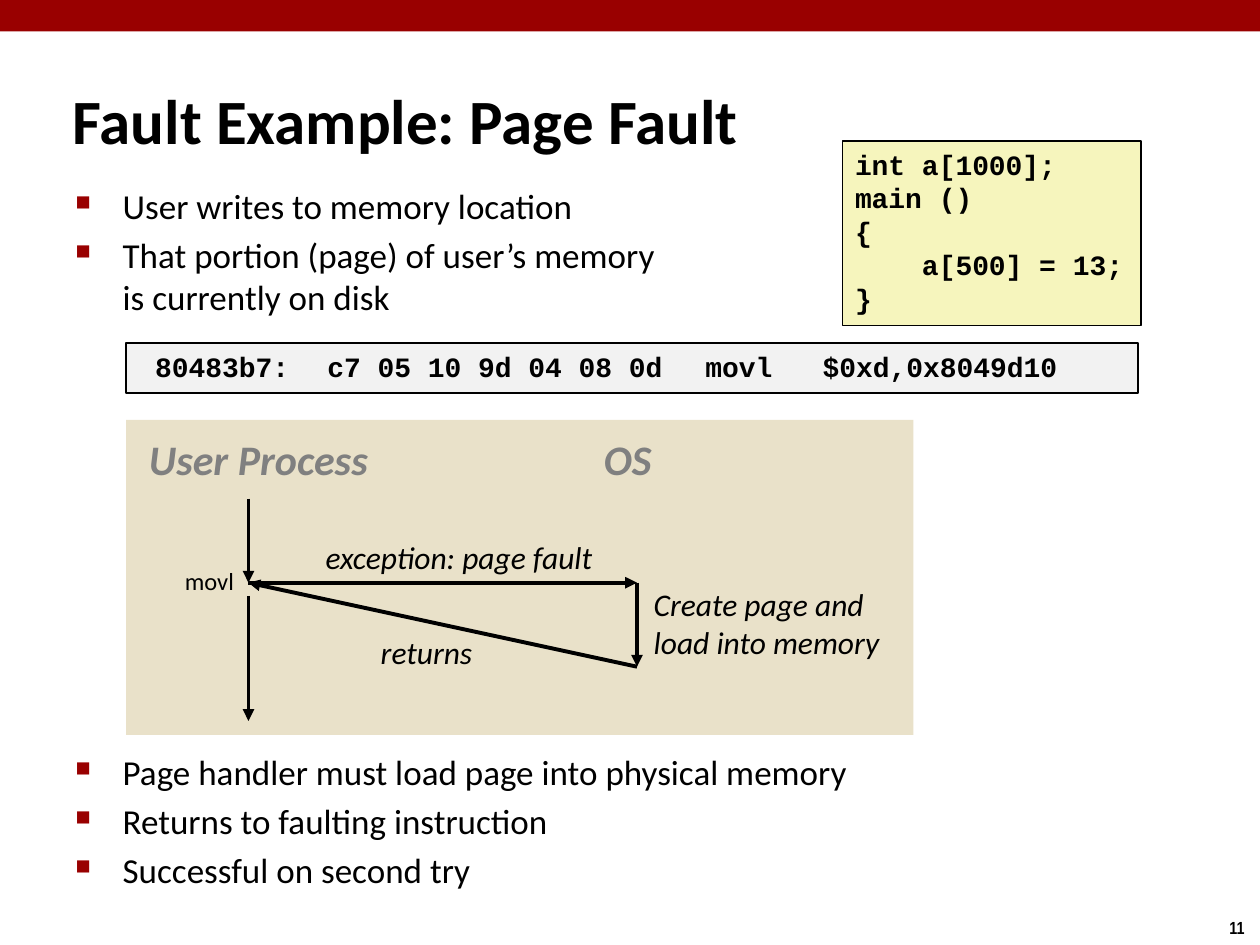
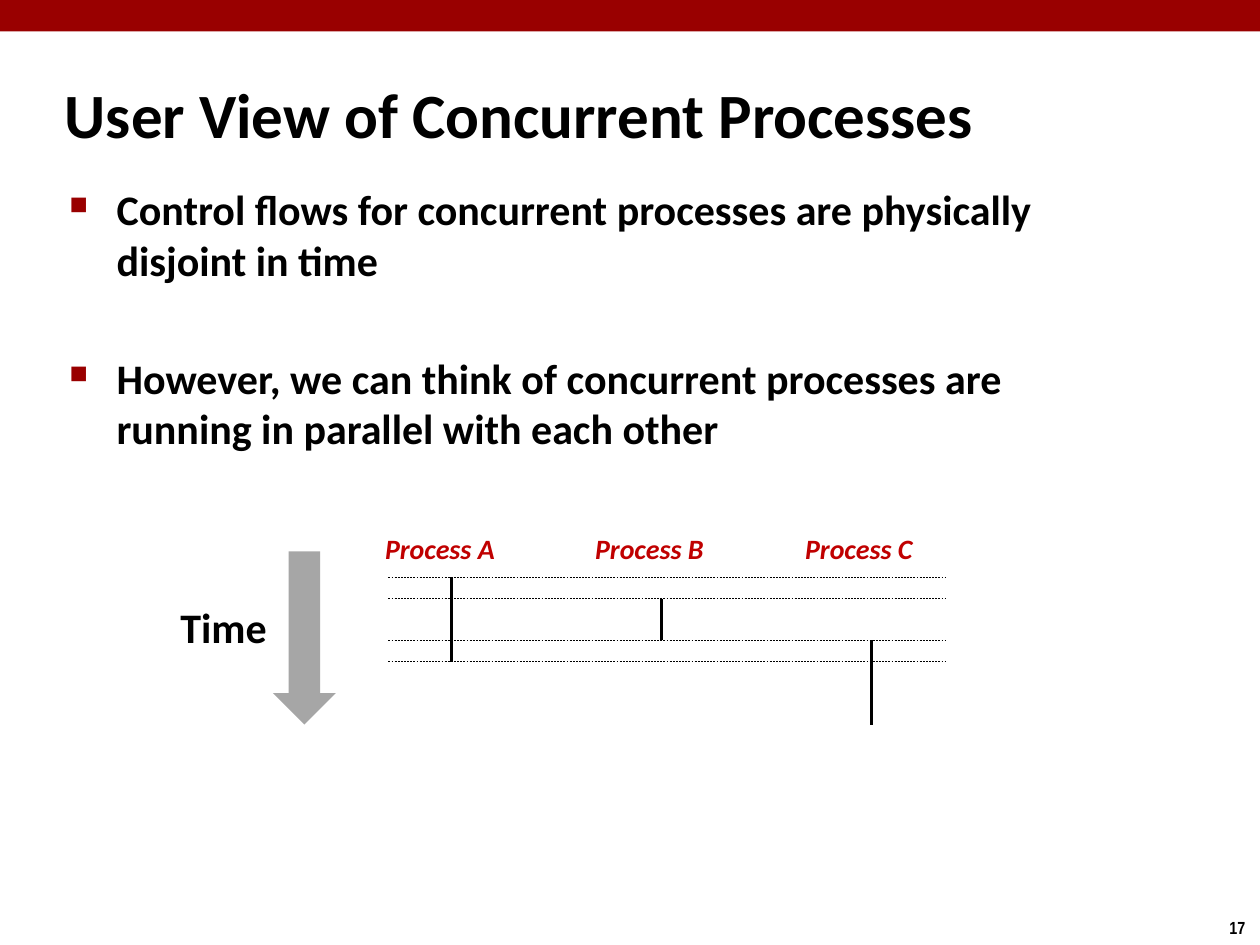
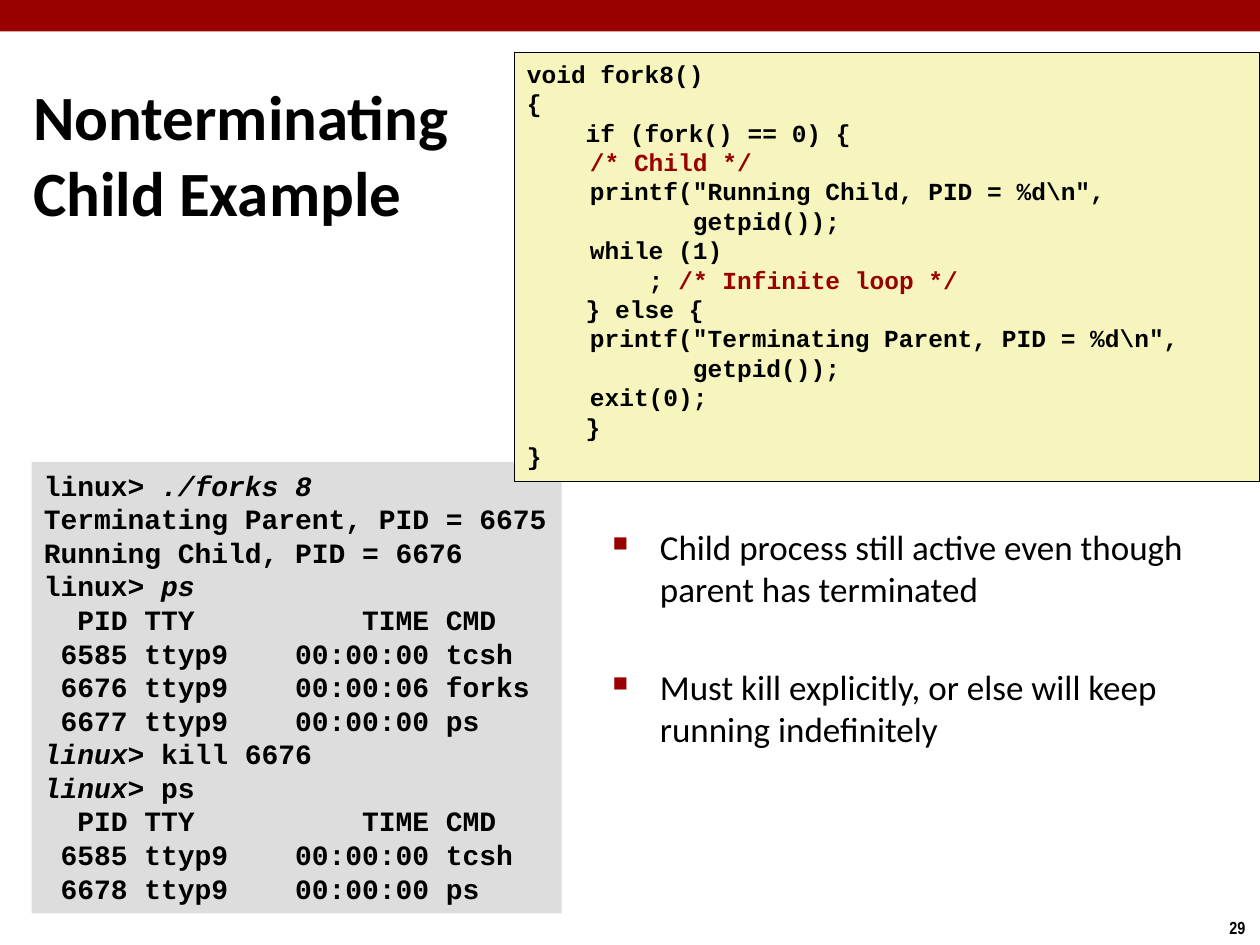
from dataclasses import dataclass, replace

import pptx
import pptx.dml.color
import pptx.enum.dml
import pptx.enum.shapes
import pptx.enum.text
import pptx.oxml
import pptx.oxml.ns
import pptx.util

Pt = pptx.util.Pt
SHAPES = pptx.enum.shapes.MSO_SHAPE
ANCHOR = pptx.enum.text.MSO_ANCHOR


@dataclass(frozen=True)
class Style:
    size: float
    font: str = "Calibri"
    color: str = "000000"
    bold: bool = False
    italic: bool = False


@dataclass(frozen=True)
class Theme:
    width: float = 720
    height: float = 540
    black: str = "000000"
    accent: str = "990000"
    code_fill: str = "F6F5BD"
    assembly_fill: str = "F2F2F2"
    terminal_fill: str = "DDDDDD"
    diagram_fill: str = "E9E1C9"
    time_fill: str = "A6A6A6"
    code_leading: float = 1.2
    title: Style = Style(36, bold=True)
    body: Style = Style(20)
    strong_body: Style = Style(24, bold=True)
    page_number: Style = Style(10, "Arial Narrow", bold=True)
    code: Style = Style(16, "Courier New", bold=True)
    small_code: Style = Style(14, "Courier New", bold=True)
    lane: Style = Style(24, color="808080", bold=True, italic=True)
    event: Style = Style(18, italic=True)
    instruction: Style = Style(14)
    process: Style = Style(16, color="C00000", bold=True, italic=True)


THEME = Theme()
TYPED = replace(THEME.code, italic=True)
COMMENT = replace(THEME.small_code, color=THEME.accent)


def rgb(code):
    return pptx.dml.color.RGBColor.from_string(code)


def add_run(paragraph, text, style):
    run = paragraph.add_run()
    run.text = text
    run.font.name = style.font
    run.font.size = Pt(style.size)
    run.font.bold = style.bold
    run.font.italic = style.italic
    run.font.color.rgb = rgb(style.color)


def write(frame, lines, style, anchor=ANCHOR.TOP, wrap=False):
    """Fill a frame; a line is a string or a list of (text, style) runs.

    A newline within a string becomes a line break. Returns the paragraphs.
    """
    frame.word_wrap = wrap
    frame.vertical_anchor = anchor
    for index, line in enumerate(lines):
        paragraph = frame.add_paragraph() if index else frame.paragraphs[0]
        paragraph.alignment = pptx.enum.text.PP_ALIGN.LEFT
        runs = [(line, style)] if isinstance(line, str) else line
        for text, run_style in runs:
            for part_index, part in enumerate(text.split("\n")):
                if part_index:
                    paragraph.add_line_break()
                add_run(paragraph, part, run_style)
    return frame.paragraphs


def add_label(slide, box, lines, style, **layout):
    frame = slide.shapes.add_textbox(*map(Pt, box)).text_frame
    return write(frame, lines, style, **layout)


def add_panel(slide, box, fill, outline=None, preset=SHAPES.RECTANGLE):
    panel = slide.shapes.add_shape(preset, *map(Pt, box))
    panel.shadow.inherit = False
    panel.fill.solid()
    panel.fill.fore_color.rgb = rgb(fill)
    if outline:
        panel.line.color.rgb = rgb(THEME.black)
        panel.line.width = Pt(outline)
    else:
        panel.line.fill.background()
    return panel


def add_code(slide, box, fill, lines, style, outline=None):
    panel = add_panel(slide, box, fill, outline)
    for paragraph in write(panel.text_frame, lines, style):
        paragraph.line_spacing = Pt(style.size * THEME.code_leading)


def add_bullets(slide, box, items, style, gap):
    """Square-bulleted list with `gap` points between items."""
    paragraphs = add_label(slide, box, items, style, wrap=True)
    for index, paragraph in enumerate(paragraphs):
        properties = paragraph._p.get_or_add_pPr()
        properties.set("marL", str(Pt(27)))
        properties.set("indent", str(-Pt(27)))
        color = pptx.oxml.ns.qn("a:buClr")
        color = properties.makeelement(color, {})
        add_child(color, "a:srgbClr", val=THEME.accent)
        properties.append(color)
        add_child(properties, "a:buSzPct", val="60000")
        add_child(properties, "a:buChar", char="■")
        if index:
            paragraph.space_before = Pt(gap)


def add_child(parent, tag, **attributes):
    parent.append(parent.makeelement(pptx.oxml.ns.qn(tag), attributes))


def add_line(slide, start, end, width, arrow=False, dashed=False):
    connector = slide.shapes.add_connector(
        pptx.enum.shapes.MSO_CONNECTOR.STRAIGHT, *map(Pt, (*start, *end)))
    connector.line.color.rgb = rgb(THEME.black)
    connector.line.width = Pt(width)
    if dashed:
        connector.line.dash_style = pptx.enum.dml.MSO_LINE.DASH
    if arrow:
        add_child(connector.line._get_or_add_ln(), "a:tailEnd", type="triangle")
    add_child(connector._element.spPr, "a:effectLst")


def new_slide(deck, number):
    slide = deck.slides.add_slide(deck.slide_layouts[6])
    add_panel(slide, (0, 0, THEME.width, 18), THEME.accent)
    add_label(slide, (695.5, 520.5, 24.5, 19.5), [str(number)], THEME.page_number)
    return slide


def add_title(slide, box, title):
    add_label(slide, box, [title], THEME.title, anchor=ANCHOR.MIDDLE, wrap=True)


def page_fault_slide(deck):
    slide = new_slide(deck, 11)
    add_panel(slide, (72, 240, 450, 180), THEME.diagram_fill)
    add_title(slide, (34.5, 46, 621, 44), "Fault Example: Page Fault")
    add_bullets(slide, (36, 102, 420, 90), [
        "User writes to memory location",
        "That portion (page) of user’s memory\nis currently on disk",
    ], THEME.body, 4)
    add_bullets(slide, (36, 425.5, 642, 90), [
        "Page handler must load page into physical memory",
        "Returns to faulting instruction",
        "Successful on second try",
    ], THEME.body, 4)
    add_code(slide, (481.5, 80.5, 170.5, 105.5), THEME.code_fill, [
        "int a[1000];",
        "main ()",
        "{",
        "    a[500] = 13;",
        "}",
    ], THEME.code, outline=1)
    add_code(slide, (72, 196, 578.5, 28.5), THEME.assembly_fill,
             [" 80483b7:\tc7 05 10 9d 04 08 0d \tmovl   $0xd,0x8049d10"],
             THEME.code, outline=1)

    add_label(slide, (78, 244, 142, 36), ["User Process"], THEME.lane)
    add_label(slide, (338, 244, 43, 36), ["OS"], THEME.lane)

    user_x, os_x = 142, 364
    fault_y, handled_y = 333, 381
    for start, end in (
        ((user_x, 285), (user_x, fault_y)),
        ((user_x, fault_y), (os_x, fault_y)),
        ((os_x, fault_y), (os_x, handled_y)),
        ((os_x, handled_y), (user_x, fault_y)),
        ((user_x, 340.5), (user_x, 412)),
    ):
        add_line(slide, start, end, 2.25, arrow=True)

    add_label(slide, (179, 304, 168.5, 29), ["exception: page fault"], THEME.event)
    add_label(slide, (366.5, 331, 155.5, 50.5),
              ["Create page and", "load into memory"], THEME.event, wrap=True)
    add_label(slide, (210.5, 358, 67, 29), ["returns"], THEME.event)
    add_label(slide, (98.5, 320, 43, 24.5), ["movl"], THEME.instruction)


def concurrent_slide(deck):
    slide = new_slide(deck, 17)
    add_title(slide, (30, 42, 666, 45), "User View of Concurrent Processes")
    add_bullets(slide, (32.5, 101.5, 622, 157), [
        "Control flows for concurrent processes are physically disjoint in time",
        "However, we can think of concurrent processes are running in parallel"
        " with each other",
    ], THEME.strong_body, 38.5)
    add_label(slide, (96, 340, 64, 36), ["Time"], THEME.strong_body)

    start_y, tick = 330, 12
    first_x, process_gap = 258, 120
    active_ticks = {"A": (0, 2), "B": (1,), "C": (3, 5)}
    for column, (process, starts) in enumerate(active_ticks.items()):
        x = first_x + column * process_gap
        add_label(slide, (x - 45, 300, 78, 27), [f"Process {process}"], THEME.process)
        for begin in starts:
            y = start_y + begin * tick
            add_line(slide, (x, y), (x, y + 2 * tick), 2)
    for switch in (0, 1, 3, 4):
        y = start_y + switch * tick
        add_line(slide, (222, y), (540, y), 0.25, dashed=True)
    add_panel(slide, (156, 315, 36, 99), THEME.time_fill, preset=SHAPES.DOWN_ARROW)


def nonterminating_slide(deck):
    slide = new_slide(deck, 29)
    add_code(slide, (18, 264, 303, 258), THEME.terminal_fill, [
        [("linux> ", THEME.code), ("./forks 8", TYPED)],
        "Terminating Parent, PID = 6675",
        "Running Child, PID = 6676",
        [("linux> ", THEME.code), ("ps", TYPED)],
        "  PID TTY          TIME CMD",
        " 6585 ttyp9    00:00:00 tcsh",
        " 6676 ttyp9    00:00:06 forks",
        " 6677 ttyp9    00:00:00 ps",
        [("linux>", TYPED), (" kill 6676", THEME.code)],
        [("linux>", TYPED), (" ps", THEME.code)],
        "  PID TTY          TIME CMD",
        " 6585 ttyp9    00:00:00 tcsh",
        " 6678 ttyp9    00:00:00 ps",
    ], THEME.code)
    add_title(slide, (12, 24, 288, 127.5), "Nonterminating\nChild Example")
    add_bullets(slide, (343, 296.5, 341, 214), [
        "Child process still active even though parent has terminated",
        "Must kill explicitly, or else will keep running indefinitely",
    ], THEME.body, 32)
    add_code(slide, (294, 30, 425.5, 245), THEME.code_fill, [
        "void fork8()",
        "{",
        "    if (fork() == 0) {",
        [("\t", THEME.small_code), ("/* Child */", COMMENT)],
        "\tprintf(\"Running Child, PID = %d\\n\",",
        "\t       getpid());",
        "\twhile (1)",
        [("\t    ; ", THEME.small_code), ("/* Infinite loop */", COMMENT)],
        "    } else {",
        "\tprintf(\"Terminating Parent, PID = %d\\n\",",
        "\t       getpid());",
        "\texit(0);",
        "    }",
        "}",
    ], THEME.small_code, outline=0.25)


def main():
    deck = pptx.Presentation()
    deck.slide_width = Pt(THEME.width)
    deck.slide_height = Pt(THEME.height)
    page_fault_slide(deck)
    concurrent_slide(deck)
    nonterminating_slide(deck)
    deck.save("out.pptx")


if __name__ == "__main__":
    main()
